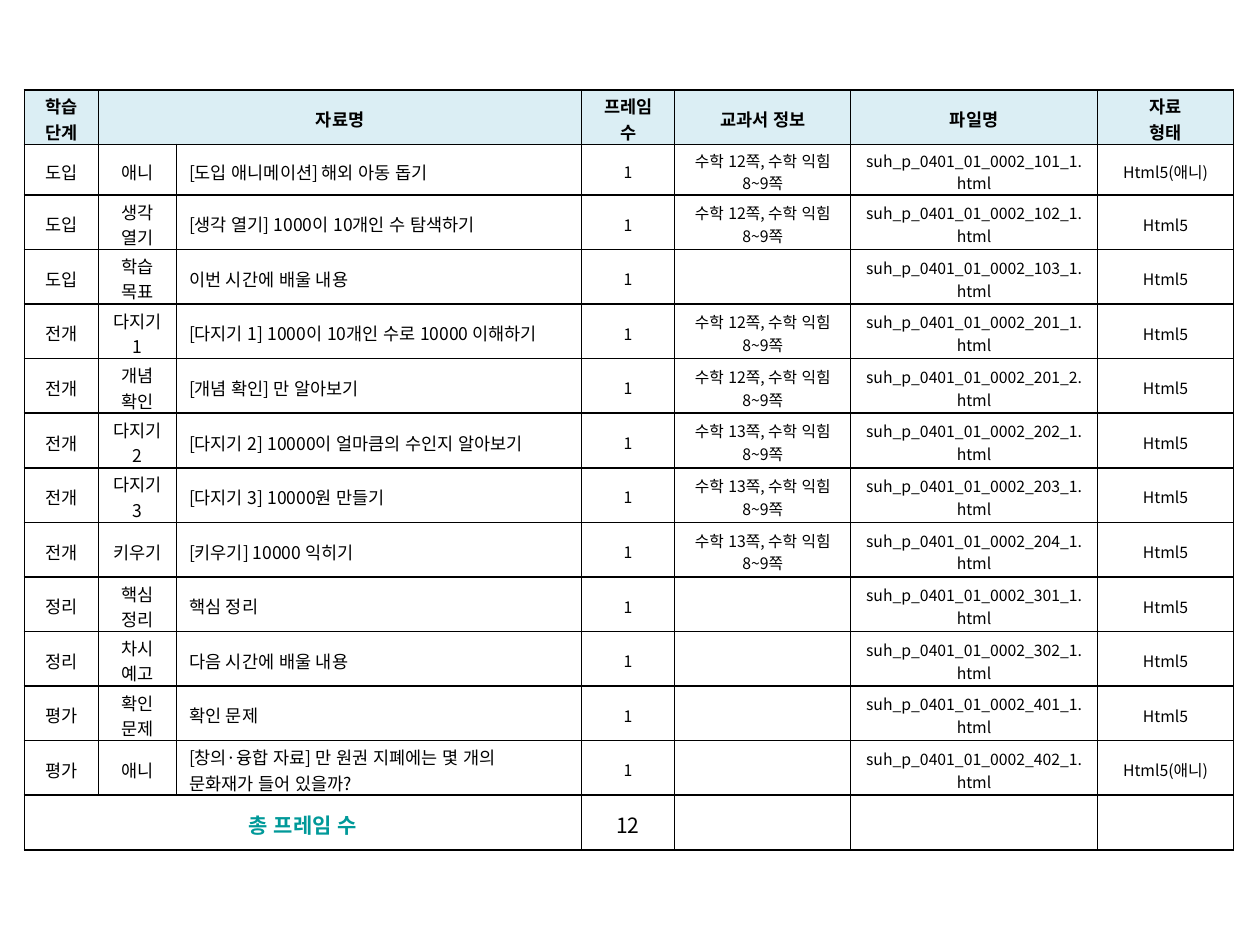
import pptx
import pptx.util
import pptx.dml.color
import pptx.enum.lang
import pptx.enum.text
import pptx.oxml
import pptx.oxml.ns

Cm, Pt = pptx.util.Cm, pptx.util.Pt
RGBColor = pptx.dml.color.RGBColor
ALIGN = pptx.enum.text.PP_ALIGN
KOREAN = pptx.enum.lang.MSO_LANGUAGE_ID.KOREAN

BLACK = RGBColor(0x00, 0x00, 0x00)
TEAL = RGBColor(0x00, 0x99, 0x99)
PALE_BLUE = RGBColor(0xDB, 0xEE, 0xF4)
FONT = "Noto Sans CJK KR"

COL_WIDTHS = [1.5, 1.57, 8.16, 1.88, 3.55, 4.97, 2.75]
ROW_HEIGHTS = [1.1, 1.02] + [1.1] * 12
SIDE_MARGINS = {2: (0.25, 0.4), 3: (0.38, 0.38)}
HEADERS = ["학습 단계", "자료명", "", "프레임 수", "교과서 정보", "파일명", "자료\n형태"]
LESSONS = [
    ("도입", "애니", "[도입 애니메이션] 해외 아동 돕기", 12, "101_1", "Html5(애니)"),
    ("도입", "생각 열기", "[생각 열기] 1000이 10개인 수 탐색하기", 12, "102_1", "Html5"),
    ("도입", "학습 목표", "이번 시간에 배울 내용", None, "103_1", "Html5"),
    ("전개", "다지기 1", "[다지기 1] 1000이 10개인 수로 10000 이해하기", 12, "201_1", "Html5"),
    ("전개", "개념 확인", "[개념 확인] 만 알아보기", 12, "201_2", "Html5"),
    ("전개", "다지기 2", "[다지기 2] 10000이 얼마큼의 수인지 알아보기", 13, "202_1", "Html5"),
    ("전개", "다지기 3", "[다지기 3] 10000원 만들기", 13, "203_1", "Html5"),
    ("전개", "키우기", "[키우기] 10000 익히기", 13, "204_1", "Html5"),
    ("정리", "핵심 정리", "핵심 정리", None, "301_1", "Html5"),
    ("정리", "차시 예고", "다음 시간에 배울 내용", None, "302_1", "Html5"),
    ("평가", "확인 문제", "확인 문제", None, "401_1", "Html5"),
    ("평가", "애니", "[창의·융합 자료] 만 원권 지폐에는 몇 개의 문화재가 들어 있을까?",
     None, "402_1", "Html5(애니)"),
]


def set_borders(cell):
    """Draw a thin black line on every side of a cell."""
    tcPr = cell._tc.get_or_add_tcPr()
    for i, side in enumerate(("lnL", "lnR", "lnT", "lnB")):
        tcPr.insert(i, pptx.oxml.parse_xml(
            f'<a:{side} {pptx.oxml.ns.nsdecls("a")} w="12700"><a:solidFill>'
            f'<a:srgbClr val="{BLACK}"/></a:solidFill></a:{side}>'))


def set_font(font, color=BLACK, **values):
    """Apply format values to a font, for Latin and Korean letters alike."""
    defaults = {"name": FONT, "bold": False, "language_id": KOREAN}
    for name, value in {**defaults, **values}.items():
        setattr(font, name, value)
    font.color.rgb = color
    ea = pptx.oxml.parse_xml(f'<a:ea {pptx.oxml.ns.nsdecls("a")} typeface="{FONT}"/>')
    font._element.find(pptx.oxml.ns.qn("a:latin")).addnext(ea)


def fill_cell(table, row, col, text, align=ALIGN.CENTER, fill=None, **font):
    """Write and format one table cell."""
    cell = table.cell(row, col)
    cell.text = text
    left, right = SIDE_MARGINS.get(col, (0.25, 0.25))
    values = {"vertical_anchor": pptx.enum.text.MSO_ANCHOR.MIDDLE,
              "margin_left": Cm(left), "margin_right": Cm(right),
              "margin_top": Cm(0.08), "margin_bottom": Cm(0)}
    for name, value in values.items():
        setattr(cell, name, value)
    if fill is None:
        cell.fill.background()
    else:
        cell.fill.solid()
        cell.fill.fore_color.rgb = fill
    set_borders(cell)
    for p in cell.text_frame.paragraphs:
        p.alignment = align
        for r in p.runs:
            set_font(r.font, **font)
        if not p.runs:
            p.font.size = font["size"]


def add_grid(s):
    """Add the empty table with its column widths and row heights."""
    shape = s.shapes.add_table(len(ROW_HEIGHTS), len(COL_WIDTHS), Cm(0.49), Cm(1.81),
                               Cm(sum(COL_WIDTHS)), Cm(sum(ROW_HEIGHTS)))
    table = shape.table
    table.first_row = table.horz_banding = False
    for col, width in zip(table.columns, COL_WIDTHS):
        col.width = Cm(width)
    for row, height in zip(table.rows, ROW_HEIGHTS):
        row.height = Cm(height)
    return table


def fill_row(table, row, texts, **values):
    """Fill a row with cells that share one format."""
    for col, text in enumerate(texts):
        fill_cell(table, row, col, text, **values)


def fill_lesson(table, row, lesson):
    """Fill the row of one lesson resource."""
    stage, step, title, page, code, kind = lesson
    book = f"수학 {page}쪽, 수학 익힘 8~9쪽" if page else ""
    texts = [stage, step, title, "1", book, f"suh_p_0401_01_0002_{code}.html", kind]
    for col, text in enumerate(texts):
        fill_cell(table, row, col, text, size=Pt(10 if col < 3 else 9),
                  align=ALIGN.LEFT if col == 2 else ALIGN.CENTER)


def main():
    """Build the slide and save it."""
    prs = pptx.Presentation()
    prs.slide_width, prs.slide_height = Cm(25.4), Cm(19.05)
    s = prs.slides.add_slide(prs.slide_layouts[6])
    table = add_grid(s)
    fill_row(table, 0, HEADERS, fill=PALE_BLUE, size=Pt(10), bold=True)
    table.cell(0, 1).merge(table.cell(0, 2))
    for row, lesson in enumerate(LESSONS, 1):
        fill_lesson(table, row, lesson)
    total = len(ROW_HEIGHTS) - 1
    fill_row(table, total, ["", "", "", str(len(LESSONS)), "", "", ""], size=Pt(12))
    fill_cell(table, total, 0, "총 프레임 수", size=Pt(12), bold=True, color=TEAL)
    table.cell(total, 0).merge(table.cell(total, 2))
    prs.save("out.pptx")


if __name__ == "__main__":
    main()
